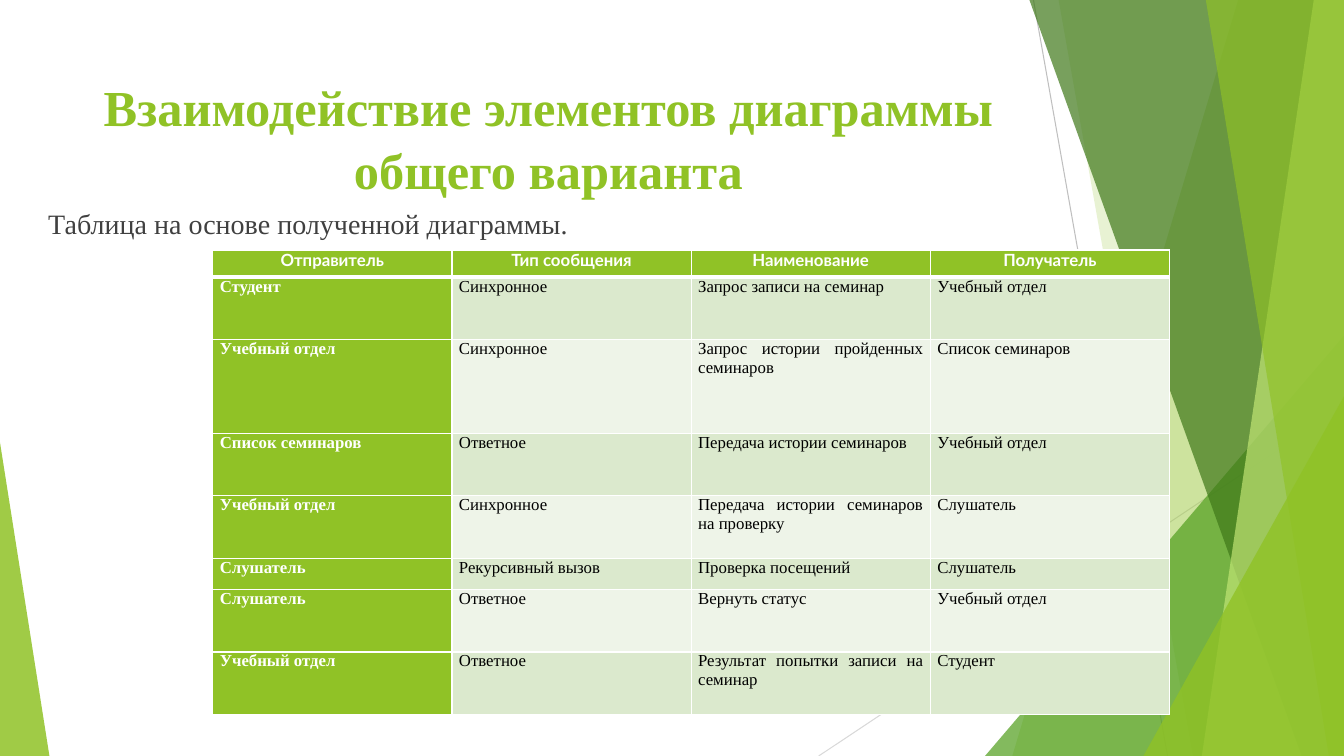
from lxml.etree import SubElement
from pptx import Presentation
from pptx.dml.color import RGBColor
from pptx.enum.shapes import MSO_CONNECTOR, MSO_SHAPE
from pptx.enum.text import MSO_ANCHOR, PP_ALIGN
from pptx.oxml.ns import qn
from pptx.util import Inches, Pt

WIDTH, HEIGHT = 13.33, 7.5
COLORS = {
    "green": "90C226", "leaf": "54A021", "forest": "3F7819", "lime": "C0E474",
    "white": "FFFFFF", "black": "000000", "text": "404040",
    "band_dark": "DBE9CD", "band_light": "EEF4E8",
    "gray": "BFBFBF", "light_gray": "D9D9D9",
}
SERIF, SANS = "Times New Roman", "Lato"

# Panels run from the top to the bottom edge: top left, bottom left, colour, opacity
BACK_PANELS = [(12.28, 10.04, "green", 30), (10.5, 11.83, "green", 20)]
FRONT_PANELS = [(10.21, 12.91, "forest", 70), (13.03, 11.92, "lime", 70),
                (11.96, 13.18, "green", 65)]

HEADINGS = ["Отправитель", "Тип сообщения", "Наименование", "Получатель"]
MESSAGES = [
    ["Студент", "Синхронное", "Запрос записи на семинар", "Учебный отдел"],
    ["Учебный отдел", "Синхронное", "Запрос истории пройденных семинаров", "Список семинаров"],
    ["Список семинаров", "Ответное", "Передача истории семинаров", "Учебный отдел"],
    ["Учебный отдел", "Синхронное", "Передача истории семинаров на проверку", "Слушатель"],
    ["Слушатель", "Рекурсивный вызов", "Проверка посещений", "Слушатель"],
    ["Слушатель", "Ответное", "Вернуть статус", "Учебный отдел"],
    ["Учебный отдел", "Ответное", "Результат попытки записи на семинар", "Студент"],
]
ROW_UNITS = [2, 3, 2, 2, 1, 2, 2]
HEADER_HEIGHT, UNIT_HEIGHT = 0.27, 0.31


def rgb(name):
    return RGBColor.from_string(COLORS[name])


class SlideBuilder:
    """Holds the deck, its style and the current slide."""

    def __init__(self):
        self.deck = Presentation()
        self.deck.slide_width, self.deck.slide_height = Inches(WIDTH), Inches(HEIGHT)
        self.page = self.deck.slides.add_slide(self.deck.slide_layouts[5])
        self.shapes = self.page.shapes

    def line(self, start, end, color):
        points = [Inches(value) for value in (*start, *end)]
        line = self.shapes.add_connector(MSO_CONNECTOR.STRAIGHT, *points)
        line.line.color.rgb = rgb(color)
        line.line.width = Pt(0.75)
        SubElement(line.element.spPr, qn("a:effectLst"))

    def paint(self, shape, color, opacity):
        shape.shadow.inherit = False
        shape.line.fill.background()
        shape.fill.solid()
        shape.fill.fore_color.rgb = rgb(color)
        fill_color = shape.element.spPr.find(f".//{qn('a:srgbClr')}")
        SubElement(fill_color, qn("a:alpha"), val=str(opacity * 1000))

    def panel(self, top_left, bottom_left, color, opacity):
        builder = self.shapes.build_freeform(Inches(top_left), 0, scale=1.0)
        corners = [(WIDTH, 0), (WIDTH, HEIGHT), (bottom_left, HEIGHT)]
        builder.add_line_segments([(Inches(x), Inches(y)) for x, y in corners])
        self.paint(builder.convert_to_shape(), color, opacity)

    def triangle(self, left, top, width, peak, color, opacity):
        box = [Inches(value) for value in (left, top, width, HEIGHT - top)]
        shape = self.shapes.add_shape(MSO_SHAPE.ISOSCELES_TRIANGLE, *box)
        shape.adjustments[0] = peak
        self.paint(shape, color, opacity)

    def set_text(self, frame, text, size, color, font=SERIF, bold=False, align=PP_ALIGN.LEFT):
        frame.word_wrap = True
        para = frame.paragraphs[0]
        para.text = text
        para.alignment = align
        para.font.size, para.font.name, para.font.bold = Pt(size), font, bold
        para.font.color.rgb = rgb(color)
        return para

    def title(self, left, top, width, height, text):
        box = self.shapes.title
        box.left, box.top, box.width, box.height = map(Inches, (left, top, width, height))
        box.text_frame.vertical_anchor = MSO_ANCHOR.TOP
        para = self.set_text(box.text_frame, text, 36, "green", bold=True, align=PP_ALIGN.CENTER)
        para.line_spacing = 1.05

    def text(self, left, top, width, height, text):
        box = self.shapes.add_textbox(*map(Inches, (left, top, width, height)))
        self.set_text(box.text_frame, text, 20, "text")

    def borders(self, cell, top, bottom):
        properties = cell._tc.get_or_add_tcPr()
        sides = [("lnL", 1), ("lnR", 1), ("lnT", top), ("lnB", bottom)]
        for position, (side, points) in enumerate(sides):
            edge = SubElement(properties, qn(f"a:{side}"), w=str(Pt(points)))
            fill = SubElement(edge, qn("a:solidFill"))
            SubElement(fill, qn("a:srgbClr"), val=COLORS["white"])
            properties.insert(position, edge)

    def table(self, left, top, width, rows, heights):
        frame = self.shapes.add_table(len(rows), len(rows[0]), Inches(left), Inches(top),
                                      Inches(width), Inches(sum(heights)))
        table = frame.table
        for row, height in zip(table.rows, heights):
            row.height = Inches(height)
        for r, values in enumerate(rows):
            band = "band_dark" if r % 2 else "band_light"
            for c, value in enumerate(values):
                cell = table.cell(r, c)
                header, strong = r == 0, r == 0 or c == 0
                cell.margin_left = cell.margin_right = Inches(0.07)
                cell.margin_top = cell.margin_bottom = 0
                cell.fill.solid()
                cell.fill.fore_color.rgb = rgb("green" if strong else band)
                self.borders(cell, 3 if r == 1 else 1, 3 if header else 1)
                self.set_text(cell.text_frame, value, 12, "white" if strong else "black",
                              SANS if header else SERIF, strong,
                              PP_ALIGN.CENTER if header else PP_ALIGN.JUSTIFY)


def main():
    slide = SlideBuilder()

    # Faceted background
    slide.line((10.25, 0), (11.58, HEIGHT), "gray")
    slide.line((WIDTH, 4.03), (8.12, HEIGHT), "light_gray")
    for panel in BACK_PANELS:
        slide.panel(*panel)
    slide.triangle(9.77, 3.33, 3.56, 1, "leaf", 72)
    for panel in FRONT_PANELS:
        slide.panel(*panel)
    slide.triangle(11.34, 3.93, 1.99, 1, "green", 80)
    slide.triangle(0, 4.39, 0.49, 0, "green", 85)

    # Title and lead-in
    slide.title(0.74, 0.67, 9.4, 1.44, "Взаимодействие элементов диаграммы общего варианта")
    slide.text(0.38, 2, 5.67, 4.76, "Таблица на основе полученной диаграммы.")

    # Message table
    heights = [HEADER_HEIGHT] + [units * UNIT_HEIGHT for units in ROW_UNITS]
    slide.table(2.11, 2.48, 9.49, [HEADINGS] + MESSAGES, heights)

    slide.deck.save("out.pptx")


if __name__ == "__main__":
    main()
